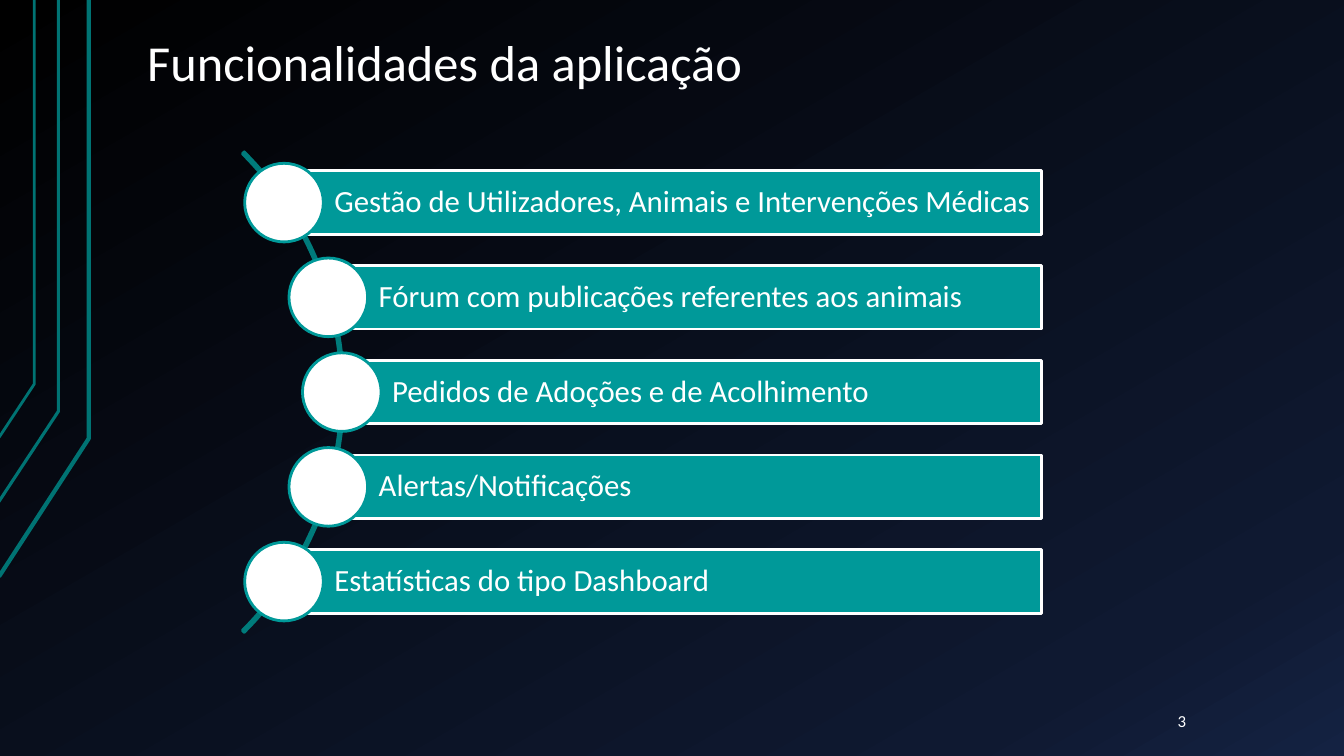
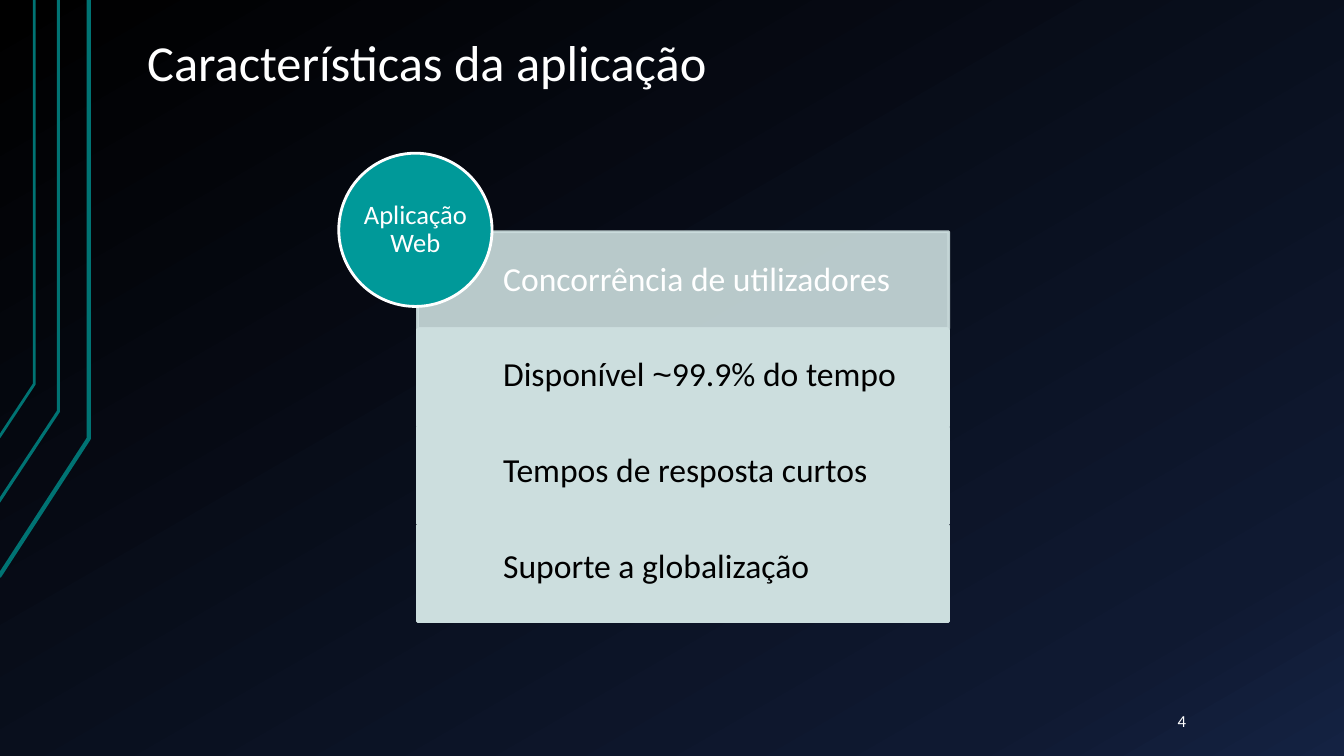
from copy import deepcopy
from math import sqrt

from lxml.etree import SubElement
from pptx import Presentation
from pptx.dml.color import RGBColor
from pptx.enum.shapes import MSO_SHAPE
from pptx.enum.text import MSO_ANCHOR, MSO_AUTO_SIZE, PP_ALIGN
from pptx.oxml.ns import qn
from pptx.util import Inches, Pt

COLORS = {
    "black": "000000",
    "navy": "0F1931",
    "blue": "142242",
    "stripe": "007373",
    "arc": "007B7B",
    "teal": "009999",
    "mist": "CCDEDE",
    "white": "FFFFFF",
}
FONT = "Calibri"
TITLE_INSETS = (0.13, 0.07, 0.13, 0.07)
STRIPES = [
    ([(-0.01, 5.72), (0.88, 4.35), (0.88, 0)], 3),
    ([(-0.02, 4.99), (0.58, 4.08), (0.58, 0)], 2.25),
    ([(-0.01, 4.34), (0.34, 3.81), (0.34, 0)], 2),
]


def rgb(name):
    return RGBColor.from_string(COLORS[name])


def box(left, top, width, height):
    return [Inches(v) for v in (left, top, width, height)]


def set_alpha(fill, percent):
    color = fill.fore_color._xFill.find(qn("a:srgbClr"))
    SubElement(color, qn("a:alpha")).set("val", str(percent * 1000))


def style_line(sp, color, width):
    sp.shadow.inherit = False
    sp.line.color.rgb = rgb(color)
    sp.line.width = Pt(width)


def add_shape(s, kind, at, fill, line, width=2):
    sp = s.shapes.add_shape(kind, *box(*at))
    sp.fill.solid()
    sp.fill.fore_color.rgb = rgb(fill)
    style_line(sp, line, width)
    return sp


def write(sp, fragments, size, color="white", insets=(0, 0, 0, 0),
          align=PP_ALIGN.LEFT, anchor=MSO_ANCHOR.MIDDLE, spacing=0.9):
    tf = sp.text_frame
    tf.word_wrap = True
    tf.auto_size = MSO_AUTO_SIZE.NONE
    tf.vertical_anchor = anchor
    (tf.margin_left, tf.margin_top,
     tf.margin_right, tf.margin_bottom) = box(*insets)
    p = tf.paragraphs[0]
    p.alignment = align
    p.line_spacing = spacing
    for text, font in fragments:
        r = p.add_run()
        r.text = text
        r.font.name = font
        r.font.size = Pt(size)
        r.font.color.rgb = rgb(color)


def set_background(master):
    fill = master.background.fill
    fill.gradient()
    fill.gradient_angle = 300
    stops = fill.gradient_stops
    first = stops[0]._gs
    first.addnext(deepcopy(first))
    colors = [(0, "black"), (0.85, "navy"), (1, "blue")]
    for stop, (position, name) in zip(fill.gradient_stops, colors):
        stop.position = position
        stop.color.rgb = rgb(name)


def add_stripes(s):
    for points, width in STRIPES:
        start, *rest = [(Inches(x), Inches(y)) for x, y in points]
        builder = s.shapes.build_freeform(*start)
        builder.add_line_segments(rest, close=False)
        sp = builder.convert_to_shape()
        sp.fill.background()
        style_line(sp, "stripe", width)


def add_slide(prs, title, number):
    s = prs.slides.add_slide(prs.slide_layouts[5])
    add_stripes(s)
    sp = s.shapes.title
    sp.left, sp.top, sp.width, sp.height = box(1.33, 0.3, 11.33, 0.69)
    write(sp, [(title, FONT)], 36, insets=TITLE_INSETS,
          anchor=MSO_ANCHOR.BOTTOM)
    page = s.shapes.add_textbox(*box(11.55, 6.95, 1.11, 0.4))
    write(page, [(str(number), FONT)], 12, insets=TITLE_INSETS, spacing=1)
    return s


def add_arc_list(s, items, center_x, center_y, radius, right):
    pitch, bar_height, dot = 0.94, 0.63, 0.78
    arc = add_shape(s, MSO_SHAPE.BLOCK_ARC,
                    (center_x - radius, center_y - radius,
                     2 * radius, 2 * radius), "arc", "arc")
    for i, value in enumerate((189, 27, 0.004)):
        arc.adjustments[i] = value
    for i, item in enumerate(items):
        dy = (i - (len(items) - 1) / 2) * pitch
        x = center_x - 0.02 + sqrt(radius ** 2 - dy ** 2)
        y = center_y + dy
        bar = add_shape(s, MSO_SHAPE.RECTANGLE,
                        (x, y - bar_height / 2, right - x, bar_height),
                        "teal", "white")
        write(bar, [(item, FONT)], 22, insets=(0.5, 0.06, 0.06, 0.06))
        add_shape(s, MSO_SHAPE.OVAL, (x - dot / 2, y - dot / 2, dot, dot),
                  "white", "teal")


def add_feature_panel(s, heading, rows, left, top, width):
    row_height, row_pitch, text_pitch, indent, badge = 0.96, 0.97, 0.95, 0.85, 1.52
    for i, fragments in enumerate(rows):
        panel = add_shape(s, MSO_SHAPE.RECTANGLE,
                          (left, top + i * row_pitch, width, row_height),
                          "mist", "mist")
        if i == 0:
            set_alpha(panel.fill, 90)
            set_alpha(panel.line.fill, 90)
        label = s.shapes.add_textbox(
            *box(left + indent, top + i * text_pitch,
                 width - indent, row_height))
        write(label, fragments, 24, "black" if i else "white",
              insets=(0, 0.19, 0.19, 0.19))
    circle = add_shape(s, MSO_SHAPE.OVAL,
                       (left - 0.78, top - 0.78, badge, badge),
                       "teal", "white")
    write(circle, [(heading, FONT)], 19, align=PP_ALIGN.CENTER)


prs = Presentation()
prs.slide_width, prs.slide_height = Inches(13.33), Inches(7.5)
set_background(prs.slide_master)

s = add_slide(prs, "Funcionalidades da aplicação", 3)
add_arc_list(s, [
    "Gestão de Utilizadores, Animais e Intervenções Médicas",
    "Fórum com publicações referentes aos animais",
    "Pedidos de Adoções e de Acolhimento",
    "Alertas/Notificações",
    "Estatísticas do tipo Dashboard",
], 0.04, 3.89, 3.37, 10.33)

s = add_slide(prs, "Características da aplicação", 4)
add_feature_panel(s, "Aplicação Web", [
    [("Concorrência de utilizadores", FONT)],
    [("Disponível ", FONT), ("~", "Arial"), ("99.9% do tempo", FONT)],
    [("Tempos de resposta curtos", FONT)],
    [("Suporte a globalização", FONT)],
], 4.14, 2.3, 5.27)

prs.save("out.pptx")
